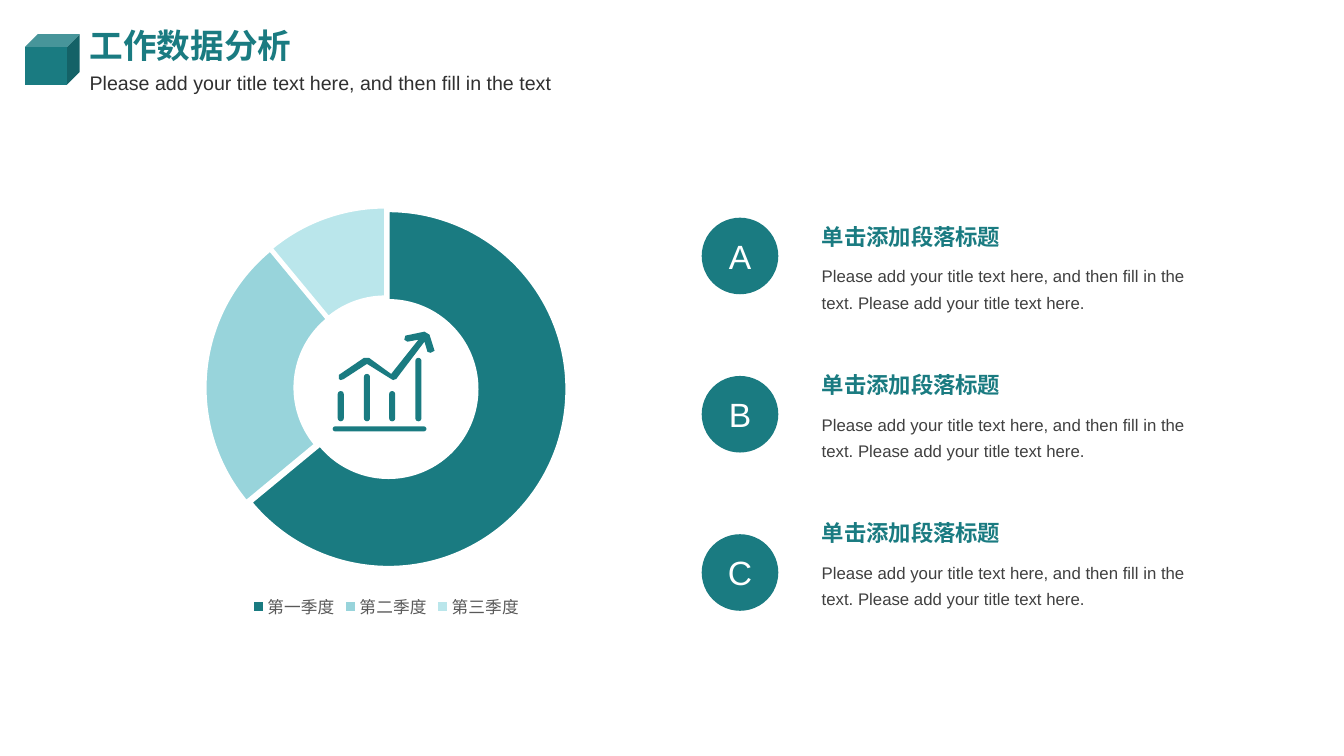
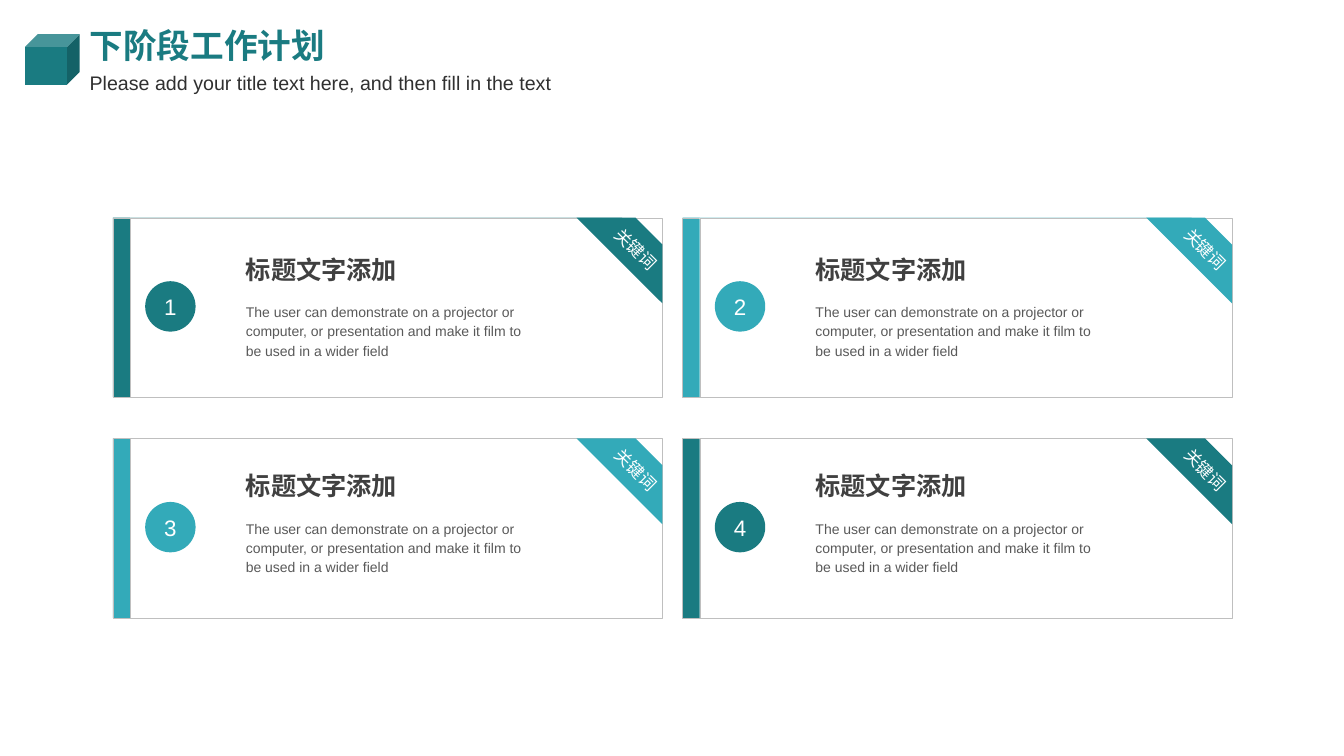
from lxml import etree
from pptx import Presentation
from pptx.chart.data import CategoryChartData
from pptx.dml.color import RGBColor
from pptx.enum.chart import XL_CHART_TYPE, XL_LEGEND_POSITION
from pptx.enum.shapes import MSO_SHAPE
from pptx.enum.text import MSO_ANCHOR, MSO_AUTO_SIZE, PP_ALIGN
from pptx.oxml.ns import qn
from pptx.util import Pt

PX = 9144
TITLE_ONLY = 5
CUBE, RECT, OVAL = MSO_SHAPE.CUBE, MSO_SHAPE.RECTANGLE, MSO_SHAPE.OVAL
PILL, STRIPE = MSO_SHAPE.ROUNDED_RECTANGLE, MSO_SHAPE.DIAGONAL_STRIPE
LEFT, CENTER = PP_ALIGN.LEFT, PP_ALIGN.CENTER
TOP, MIDDLE = MSO_ANCHOR.TOP, MSO_ANCHOR.MIDDLE
FIXED = MSO_AUTO_SIZE.NONE
DOUGHNUT, BOTTOM = XL_CHART_TYPE.DOUGHNUT, XL_LEGEND_POSITION.BOTTOM
LATIN, HAN = "Arial", "Noto Sans CJK SC"
COLORS = {
    "teal": "1A7B81", "aqua": "33AAB9", "ice": "A9E0E7", "white": "FFFFFF",
    "border": "BFBFBF", "subtitle": "303030", "body": "404040", "muted": "595959",
}
SUBTITLE = "Please add your title text here, and then fill in the text"
POINT_HEADING = "单击添加段落标题"
POINT_BODY = SUBTITLE + ". Please add your title text here."
CARD_HEADING = "标题文字添加"
CARD_BODY = ("The user can demonstrate on a projector or computer, or presentation "
             "and make it film to be used in a wider field")
KEYWORD = "关键词"
QUARTERS = [("第一季度", 64, "teal", 100), ("第二季度", 25, "aqua", 50), ("第三季度", 11, "ice", 80)]
TREND_ARROW = [
    (426, 332), (421, 329), (402, 333), (401, 337), (404, 339), (415, 337), (388, 371),
    (366, 355), (361, 355), (336, 372), (336, 376), (338, 377), (341, 376), (364, 361),
    (388, 376), (390, 377), (393, 376), (421, 339), (424, 349), (427, 350), (431, 348),
]


def rgb(color):
    """Return the named colour."""
    return RGBColor.from_string(COLORS[color])


class Deck:
    """Holds the shared style and the current slide."""

    def __init__(self):
        """Start a widescreen presentation."""
        self.prs = Presentation()
        self.prs.slide_width, self.prs.slide_height = 1333 * PX, 750 * PX
        self.slide = None

    def new_slide(self, heading):
        """Add a slide with the cube, title and subtitle."""
        self.slide = self.prs.slides.add_slide(self.prs.slide_layouts[TITLE_ONLY])
        self.shape(CUBE, 25, 34, 54, 50, "teal")
        self.text(79, 58, 549, 38, SUBTITLE, 14, "subtitle", spacing=1.3)
        title = self.slide.shapes.title
        title.left, title.top, title.width, title.height = (n * PX for n in (79, 20, 353, 50))
        self.add_words(title, heading, 24, "teal", bold=True)

    def add_words(self, holder, words, size, color, bold=False, align=LEFT, anchor=TOP,
                  spacing=None, inset=None, wrap=True, font=LATIN):
        """Fill a text frame with one formatted run."""
        frame = holder.text_frame
        frame.word_wrap, frame.auto_size, frame.vertical_anchor = wrap, FIXED, anchor
        if inset is not None:
            frame.margin_left = frame.margin_right = inset * PX
            frame.margin_top = frame.margin_bottom = inset * PX
        paragraph = frame.paragraphs[0]
        paragraph.alignment = align
        if spacing:
            paragraph.line_spacing = spacing
        run = paragraph.add_run()
        run.text = words
        run.font.size, run.font.bold, run.font.name = Pt(size), bold, font
        run.font.color.rgb = rgb(color)
        latin = run.font._element.find(qn("a:latin"))
        latin.addnext(latin.makeelement(qn("a:ea"), {"typeface": HAN}))

    def text(self, x, y, w, h, words, size, color, **style):
        """Add a text box."""
        box = self.slide.shapes.add_textbox(x * PX, y * PX, w * PX, h * PX)
        self.add_words(box, words, size, color, **style)
        return box

    def paint(self, shape, fill, line=None):
        """Set the fill and outline of a shape."""
        shape.shadow.inherit = False
        shape.fill.solid()
        shape.fill.fore_color.rgb = rgb(fill)
        if line:
            shape.line.color.rgb = rgb(line)
            shape.line.width = Pt(0.25)
        else:
            shape.line.fill.background()

    def shape(self, kind, x, y, w, h, fill, line=None, adjust=None):
        """Add a preset shape."""
        shape = self.slide.shapes.add_shape(kind, x * PX, y * PX, w * PX, h * PX)
        self.paint(shape, fill, line)
        if adjust is not None:
            shape.adjustments[0] = adjust
        return shape

    def badge(self, x, y, diameter, label, size, fill):
        """Add a labelled circle."""
        circle = self.shape(OVAL, x, y, diameter, diameter, fill)
        self.add_words(circle, label, size, "white", align=CENTER, anchor=MIDDLE, inset=0)

    def outline(self, points, fill):
        """Add a closed polygon."""
        builder = self.slide.shapes.build_freeform(*points[0], scale=PX)
        builder.add_line_segments(points[1:], close=True)
        self.paint(builder.convert_to_shape(), fill)

    def doughnut(self, x, y, w, h, slices):
        """Add an exploded doughnut chart with a legend below."""
        data = CategoryChartData()
        data.categories = [name for name, *_ in slices]
        data.add_series("Series 1", [share for _, share, *_ in slices])
        chart = self.slide.shapes.add_chart(
            DOUGHNUT, x * PX, y * PX, w * PX, h * PX, data).chart
        chart.has_title = False
        chart.font.size, chart.font.name = Pt(10), LATIN
        chart.has_legend = True
        legend = chart.legend
        legend.position, legend.include_in_layout = BOTTOM, False
        legend.font.size, legend.font.name = Pt(11.9), LATIN
        legend.font.color.rgb = rgb("muted")
        plot = chart.plots[0]
        plot.vary_by_categories = True
        series = plot.series[0]
        series.format.line.color.rgb = rgb("white")
        for index, (_, _, color, _) in enumerate(slices):
            look = series.points[index].format
            look.fill.solid()
            look.fill.fore_color.rgb = rgb(color)
            look.line.color.rgb = rgb("white")
            look.line.width = Pt(1.5)
        root = chart.element
        fills = root.xpath(".//c:dPt/c:spPr/a:solidFill/a:srgbClr")
        for fill, (*_, opacity) in zip(fills, slices):
            etree.SubElement(fill, qn("a:alpha"), val=str(opacity * 1000))
        series_look = root.xpath(".//c:ser/c:spPr")[0]
        series_look.addnext(series_look.makeelement(qn("c:explosion"), {"val": "3"}))
        root.xpath(".//c:holeSize")[0].set("val", "60")

    def growth_icon(self):
        """Draw four bars, a baseline and a rising arrow."""
        for x, top in ((335, 388), (361, 371), (386, 388), (412, 355)):
            self.shape(PILL, x, top, 6, 418 - top, "teal", adjust=0.5)
        self.shape(PILL, 330, 423, 93, 5, "teal", adjust=0.5)
        self.outline(TREND_ARROW, "teal")

    def point(self, row, letter):
        """Add a lettered paragraph."""
        top = 221 + 147 * row
        self.text(815, top + 37, 381, 51, POINT_BODY, 12, "body", spacing=1.3, inset=0)
        self.text(815, top, 205, 27, POINT_HEADING, 16, "teal", bold=True, inset=0)
        self.badge(696, 216 + 157 * row, 76, letter, 24, "teal")

    def card(self, row, column, accent):
        """Add a numbered card with a corner ribbon."""
        x, y = 112 + 565 * column, 216 + 219 * row
        self.shape(RECT, x, y, 505, 178, accent, "border")
        self.shape(RECT, x + 17, y, 528, 178, "white", "border")
        ribbon = self.shape(STRIPE, x + 460, y, 85, 85, accent, adjust=0.314)
        ribbon.element.spPr.get_or_add_xfrm().set("flipH", "1")
        label = self.text(x + 481, y + 16, 74, 32, KEYWORD, 12, "white", align=CENTER, wrap=False)
        label.rotation = 45
        self.badge(x + 32, y + 63, 50, str(2 * row + column + 1), 16, accent)
        text_top = 247 + 215 * row
        self.text(x + 122, text_top, 233, 40, CARD_HEADING, 18, "body", bold=True, font=HAN)
        self.text(x + 122, text_top + 47, 303, 68, CARD_BODY, 10, "muted", spacing=1.14)


def main():
    """Build and save the two slides."""
    deck = Deck()
    deck.new_slide("工作数据分析")
    deck.doughnut(105, 192, 556, 426, QUARTERS)
    deck.growth_icon()
    for row, letter in enumerate("ABC"):
        deck.point(row, letter)

    deck.new_slide("下阶段工作计划")
    for row in range(2):
        for column in range(2):
            deck.card(row, column, "teal" if row == column else "aqua")
    deck.prs.save("out.pptx")


if __name__ == "__main__":
    main()
